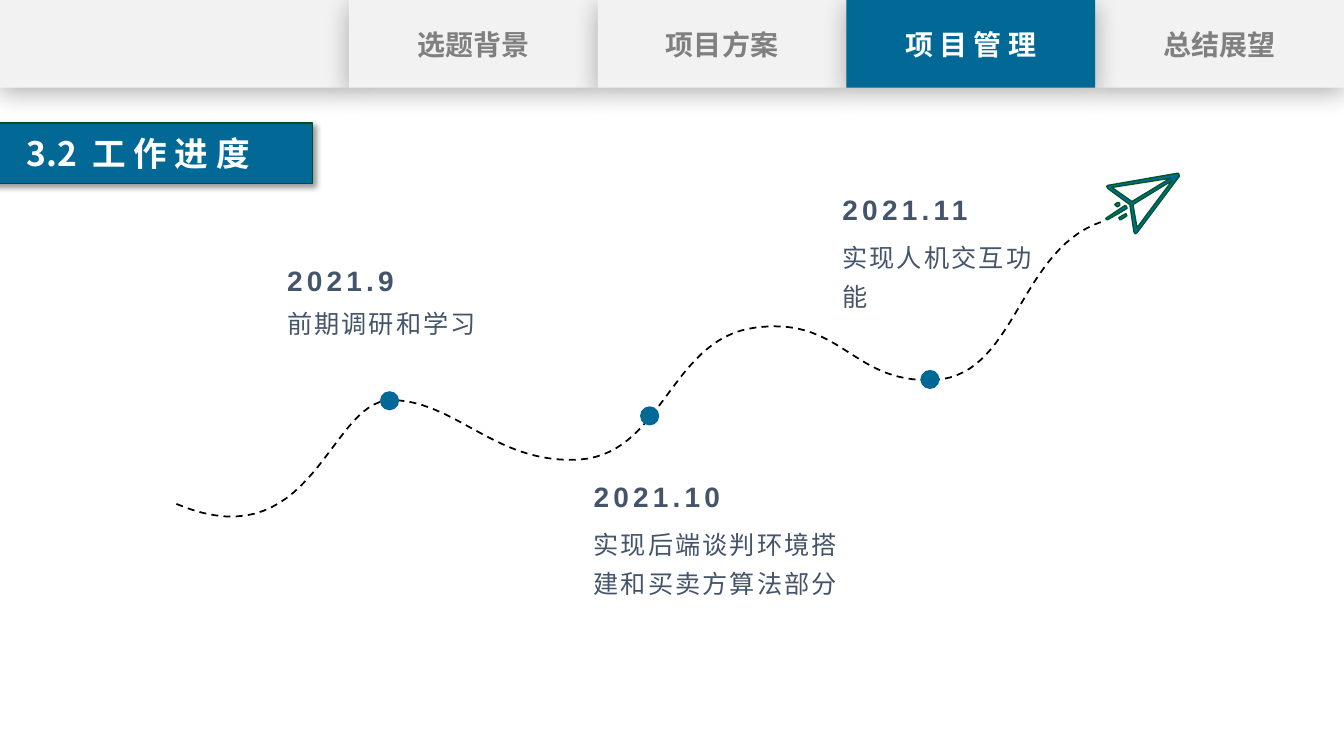
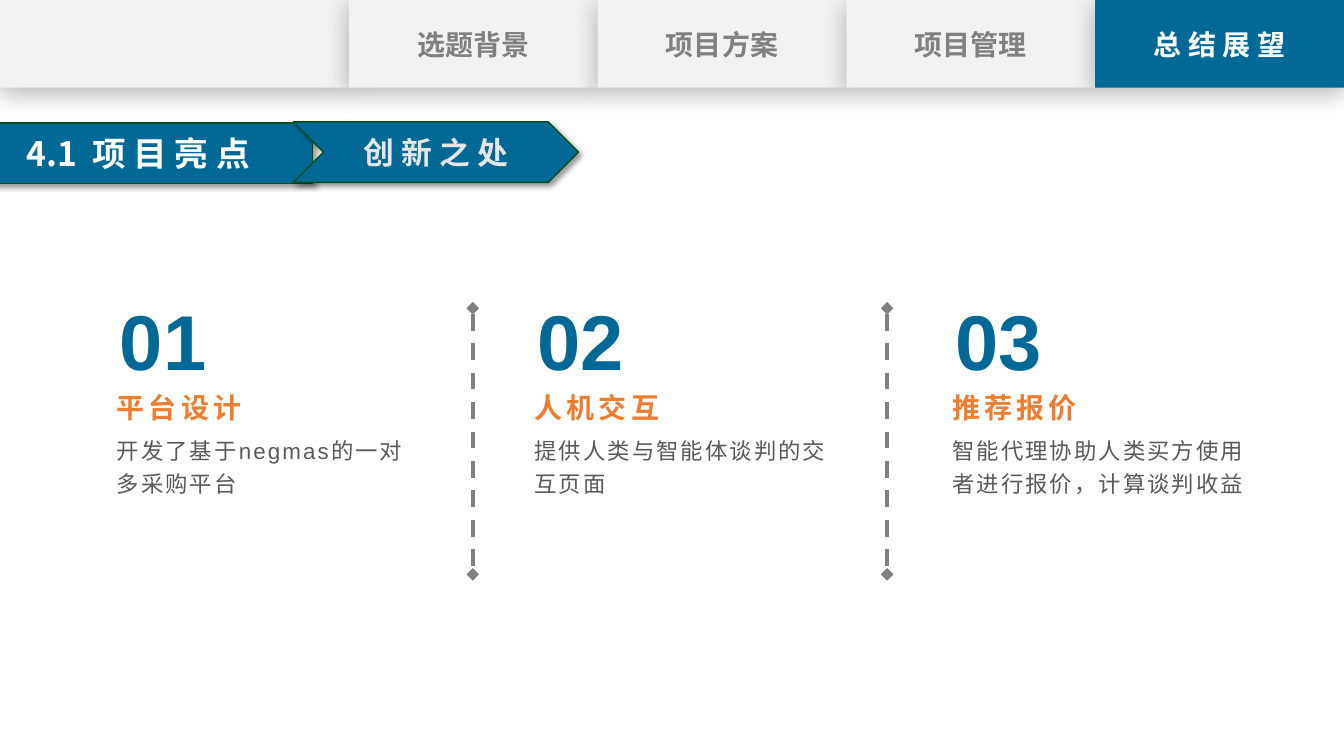
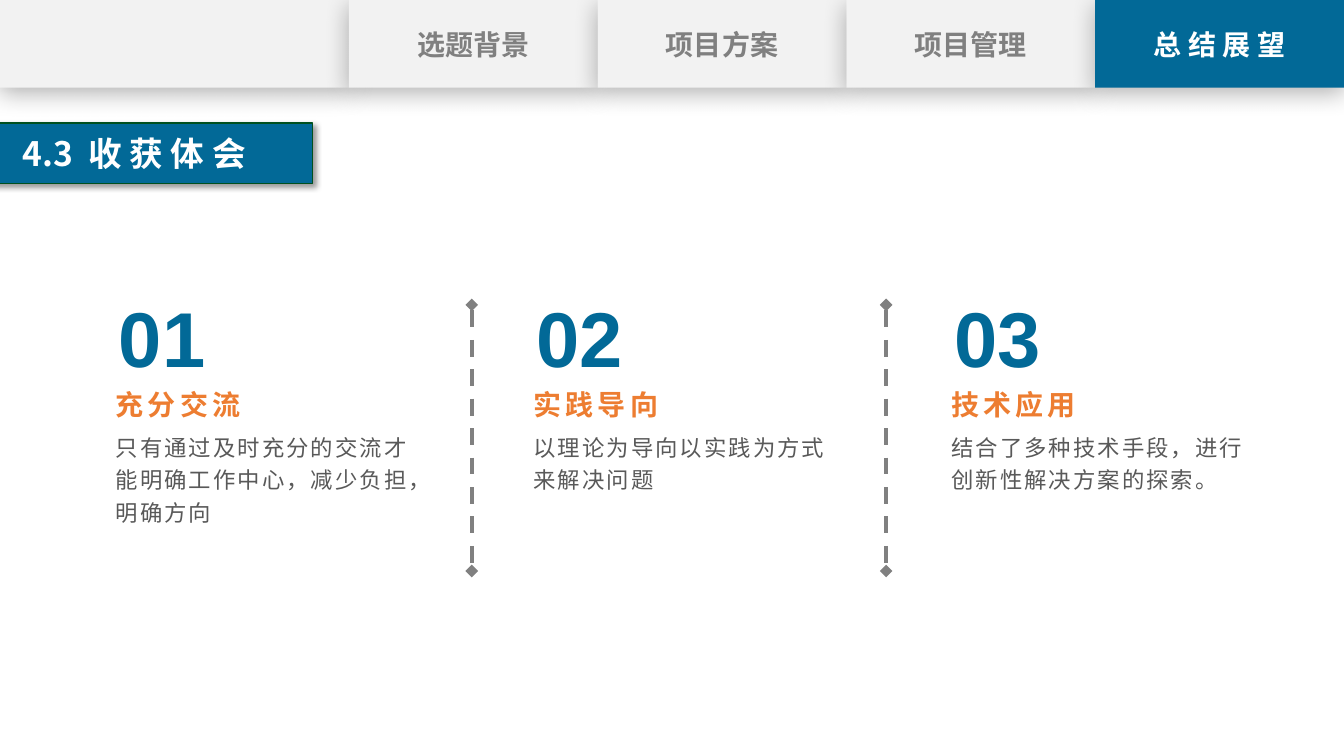
from lxml import etree
from pptx import Presentation
from pptx.dml.color import RGBColor
from pptx.enum.dml import MSO_LINE_DASH_STYLE as DASH
from pptx.enum.shapes import MSO_CONNECTOR as CONNECTOR, MSO_SHAPE as SHAPE
from pptx.enum.text import MSO_ANCHOR as ANCHOR, MSO_AUTO_SIZE as AUTO_SIZE, PP_ALIGN as ALIGN
from pptx.oxml.ns import qn
from pptx.util import Pt

COLORS = {
    "blue": "026997", "band": "F2F2F2", "grey": "808080", "white": "FFFFFF",
    "pale": "E7E6E6", "slate": "44546A", "orange": "ED7D31", "body": "595959",
    "edge": "00501F", "plane edge": "005825", "black": "000000",
}
LATIN, CHINESE = "Arial", "Noto Sans CJK SC"
# Opacity in percent, blur and distance in points, direction in degrees
TAB_SHADOW = (29, 18, 4, 90)
ARROW_SHADOW = (40, 4, 3, 45)
TABS = ["选题背景", "项目方案", "项目管理", "总结展望"]
BLANK_WIDTH, TAB_WIDTH, TAB_HEIGHT = 249.2, 177.7, 62.6
MARGIN = (7.2, 3.6, 7.2, 3.6)
FLUSH_TOP = (7.2, 0, 7.2, 3.6)
FLUSH_BOTTOM = (7.2, 3.6, 7.2, 0)


def paint(shape, fill=None, edge=None, width=1, shadow=None):
    """Set fill, outline and shadow; whatever is left out is removed."""
    if fill:
        shape.fill.solid()
        shape.fill.fore_color.rgb = RGBColor.from_string(COLORS[fill])
    else:
        shape.fill.background()
    if edge:
        shape.line.color.rgb = RGBColor.from_string(COLORS[edge])
        shape.line.width = Pt(width)
    else:
        shape.line.fill.background()
    shape.shadow.inherit = False
    if shadow:
        opacity, blur, distance, angle = shadow
        effects = shape._element.spPr.find(qn("a:effectLst"))
        outer = etree.SubElement(effects, qn("a:outerShdw"), blurRad=str(Pt(blur)),
                                 dist=str(Pt(distance)), dir=str(angle * 60000),
                                 algn="t", rotWithShape="0")
        color = etree.SubElement(outer, qn("a:srgbClr"), val=COLORS["black"])
        etree.SubElement(color, qn("a:alpha"), val=str(opacity * 1000))


def write(box, spans, size, color, font=LATIN, bold=False, leading=1.0,
          align=ALIGN.LEFT, anchor=ANCHOR.TOP, insets=MARGIN):
    """Fill a box with one paragraph of (text, letter spacing) spans."""
    frame = box.text_frame
    frame.word_wrap = True
    frame.auto_size = AUTO_SIZE.NONE
    frame.vertical_anchor = anchor
    (frame.margin_left, frame.margin_top,
     frame.margin_right, frame.margin_bottom) = map(Pt, insets)
    para = frame.paragraphs[0]
    para.alignment = align
    para.line_spacing = leading
    for text, spacing in spans:
        span = para.add_run()
        span.text = text
        span.font.name = font
        span.font.size = Pt(size)
        span.font.bold = bold
        span.font.color.rgb = RGBColor.from_string(COLORS[color])
        props = span.font._element
        props.set("spc", str(round(spacing * 100)))
        latin = props.find(qn("a:latin"))
        latin.addnext(etree.Element(qn("a:ea"), typeface=CHINESE))


deck = Presentation()
deck.slide_width, deck.slide_height = Pt(960), Pt(540)

# Navigation tabs and section title of every page
SECTIONS = [
    ("3.2", "工 作 进 度", 2, MARGIN),
    ("4.1", "项 目 亮 点", 3, MARGIN),
    ("4.3", "收 获 体 会", 3, (7.2, 3.6, 12.6, 3.6)),
]
pages = []
for number, name, active, insets in SECTIONS:
    page = deck.slides.add_slide(deck.slide_layouts[5])
    pages.append(page)

    title = page.shapes.title
    title.left, title.top, title.width, title.height = Pt(-25.9), Pt(87.8), Pt(249.1), Pt(43.2)
    outline = etree.SubElement(title._element.spPr, qn("a:prstGeom"), prst="chevron")
    etree.SubElement(outline, qn("a:avLst"))
    paint(title, "blue", "edge", shadow=ARROW_SHADOW)
    write(title, [(number, 0), (" ", 5.4), (name, 0)], 24, "white", CHINESE, True,
          align=ALIGN.CENTER, anchor=ANCHOR.MIDDLE, insets=insets)

    blank = page.shapes.add_shape(SHAPE.RECTANGLE, 0, 0, Pt(BLANK_WIDTH), Pt(TAB_HEIGHT))
    paint(blank, "band", shadow=TAB_SHADOW)
    # Tabs after the active one lie beneath it
    for index in sorted(range(len(TABS)), key=lambda i: i <= active):
        tab = page.shapes.add_shape(SHAPE.RECTANGLE, Pt(BLANK_WIDTH + index * TAB_WIDTH), 0,
                                    Pt(TAB_WIDTH), Pt(TAB_HEIGHT))
        is_active = index == active
        paint(tab, "blue" if is_active else "band", shadow=TAB_SHADOW)
        label = " ".join(TABS[index]) if is_active else TABS[index]
        write(tab, [(label, 0)], 20, "white" if is_active else "grey", CHINESE, True,
              align=ALIGN.CENTER, anchor=ANCHOR.MIDDLE)

schedule, highlights, lessons = pages

# Schedule: dashed flight trail, drawn from Bezier curves
TRAIL_START = (126, 360)
TRAIL_CURVES = [
    ((224.6, 401.8), (234.7, 285.1), (280.1, 285.8)),
    ((326.2, 286.6), (354.2, 331.9), (414, 328.3)),
    ((473.8, 324), (478.8, 241.2), (540, 234)),
    ((601.9, 226.1), (608.4, 274.3), (667.4, 271.4)),
    ((725.8, 268.6), (727.2, 178.6), (787, 158.4)),
]
STEPS = 30
trail_points = [TRAIL_START]
for control_1, control_2, end in TRAIL_CURVES:
    corners = list(zip(trail_points[-1], control_1, control_2, end))
    for step in range(1, STEPS + 1):
        t = step / STEPS
        trail_points.append(tuple(
            a * (1 - t) ** 3 + 3 * b * t * (1 - t) ** 2 + 3 * c * t ** 2 * (1 - t) + d * t ** 3
            for a, b, c, d in corners))
builder = schedule.shapes.build_freeform(*map(Pt, TRAIL_START))
builder.add_line_segments([(Pt(x), Pt(y)) for x, y in trail_points[1:]], close=False)
trail = builder.convert_to_shape()
paint(trail, edge="black", width=1.25)
trail.line.dash_style = DASH.DASH

# Schedule: paper plane, two wing openings, its outline and three streaks
PLANE = [
    [(812.2, 162.7), (809.3, 146.2), (837.4, 128.9)],
    [(794.2, 133.9), (835.9, 127.4), (808.6, 144)],
    [(842.4, 125.3), (841.7, 123.8), (841, 123.8), (791.3, 132.5), (790.6, 133.2),
     (791.3, 134.6), (807.1, 146.2), (810, 165.6), (810.7, 167), (812.2, 166.3), (842.4, 126)],
    [(804.2, 152.6), (799.2, 155.5), (799.9, 157), (800.6, 157), (804.2, 154.8), (805, 154.1)],
    [(805, 148.3), (804.2, 146.9), (803.5, 146.9), (790.6, 155.5), (789.8, 156.2),
     (790.6, 157), (791.3, 157), (805, 149)],
    [(798.5, 147.6), (799.9, 146.9), (799.9, 145.4), (799.2, 144.7), (798.5, 144.7),
     (797, 145.4), (796.3, 146.2), (797.8, 147.6)],
]
builder = schedule.shapes.build_freeform(*map(Pt, PLANE[0][0]))
for contour in PLANE:
    start, *rest = [(Pt(x), Pt(y)) for x, y in contour]
    if contour is not PLANE[0]:
        builder.move_to(*start)
    builder.add_line_segments(rest, close=True)
plane = builder.convert_to_shape()
paint(plane, "blue", "plane edge")

# Schedule: dot position, text left, date top, text top, text width, leading
MILESTONES = [
    ("2021.9", "前期调研和学习", (271.4, 279.4), 198, 182.2, 216, 157.2, 1.2),
    ("2021.10", "实现后端谈判环境搭建和买卖方算法部分", (457.2, 290.2), 416.9, 336.2, 371.5, 196.6, 1.3),
    ("2021.11", "实现人机交互功能", (657.4, 264.2), 594.7, 131, 166.3, 160, 1.3),
]
DOT = Pt(13.7)
for date, task, (dot_left, dot_top), left, date_top, task_top, width, leading in MILESTONES:
    dot = schedule.shapes.add_shape(SHAPE.OVAL, Pt(dot_left), Pt(dot_top), DOT, DOT)
    paint(dot, "blue")
    date_box = schedule.shapes.add_textbox(Pt(left), Pt(date_top), Pt(160), Pt(33.8))
    write(date_box, [(date, 3)], 20, "slate", bold=True, leading=1.2, anchor=ANCHOR.BOTTOM)
    task_box = schedule.shapes.add_textbox(Pt(left), Pt(task_top), Pt(width), Pt(62))
    write(task_box, [(task, 1.5)], 18, "slate", leading=leading, insets=FLUSH_TOP)

# Highlights: second arrow beside the section title
topic = highlights.shapes.add_shape(SHAPE.CHEVRON, Pt(209.5), Pt(87.1), Pt(203.8), Pt(43.2))
paint(topic, "blue", "edge", shadow=ARROW_SHADOW)
write(topic, [("创 新 之 处", 0)], 22, "pale", CHINESE, True,
      align=ALIGN.CENTER, anchor=ANCHOR.MIDDLE)

# Highlights and lessons: three numbered columns with separators between them
COLUMN_PAGES = [
    (highlights, 76.3, 203, [
        ("平台设计", "开发了基于negmas的一对多采购平台"),
        ("人机交互", "提供人类与智能体谈判的交互页面"),
        ("推荐报价", "智能代理协助人类买方使用者进行报价，计算谈判收益"),
    ]),
    (lessons, 75.6, 200.6, [
        ("充分交流", "只有通过及时充分的交流才能明确工作中心，减少负担，明确方向"),
        ("实践导向", "以理论为导向以实践为方式来解决问题"),
        ("技术应用", "结合了多种技术手段，进行创新性解决方案的探索。"),
    ]),
]
COLUMN_STEP, SEPARATOR_STEP = 298.4, 296
for page, first_left, top, columns in COLUMN_PAGES:
    for index, (heading, detail) in enumerate(columns):
        left = first_left + index * COLUMN_STEP
        number_box = page.shapes.add_textbox(Pt(left + 3.2), Pt(top), Pt(74.2), Pt(72.7))
        write(number_box, [(f"{index + 1:02}", 0)], 55.5, "blue", bold=True, leading=1.1,
              align=ALIGN.CENTER, anchor=ANCHOR.MIDDLE, insets=(0, 0, 0, 0))
        heading_box = page.shapes.add_textbox(Pt(left), Pt(top + 69.9), Pt(224.6), Pt(30.2))
        write(heading_box, [(heading, 3)], 20, "orange", bold=True, leading=1.2,
              anchor=ANCHOR.BOTTOM, insets=FLUSH_BOTTOM)
        detail_box = page.shapes.add_textbox(Pt(left), Pt(top + 105.7), Pt(224.6), Pt(116.6))
        write(detail_box, [(detail, 1.5)], 16, "body", leading=1.2, insets=FLUSH_TOP)
    for index in range(len(columns) - 1):
        x = Pt(first_left + 261.4 + index * SEPARATOR_STEP)
        separator = page.shapes.add_connector(CONNECTOR.STRAIGHT, x, Pt(top + 17.2),
                                              x, Pt(top + 207.3))
        separator.line.color.rgb = RGBColor.from_string(COLORS["grey"])
        separator.line.width = Pt(3)
        separator.line.dash_style = DASH.DASH
        props = separator._element.spPr
        for end in ("a:headEnd", "a:tailEnd"):
            etree.SubElement(props.find(qn("a:ln")), qn(end), type="diamond")
        etree.SubElement(props, qn("a:effectLst"))

deck.save("out.pptx")
